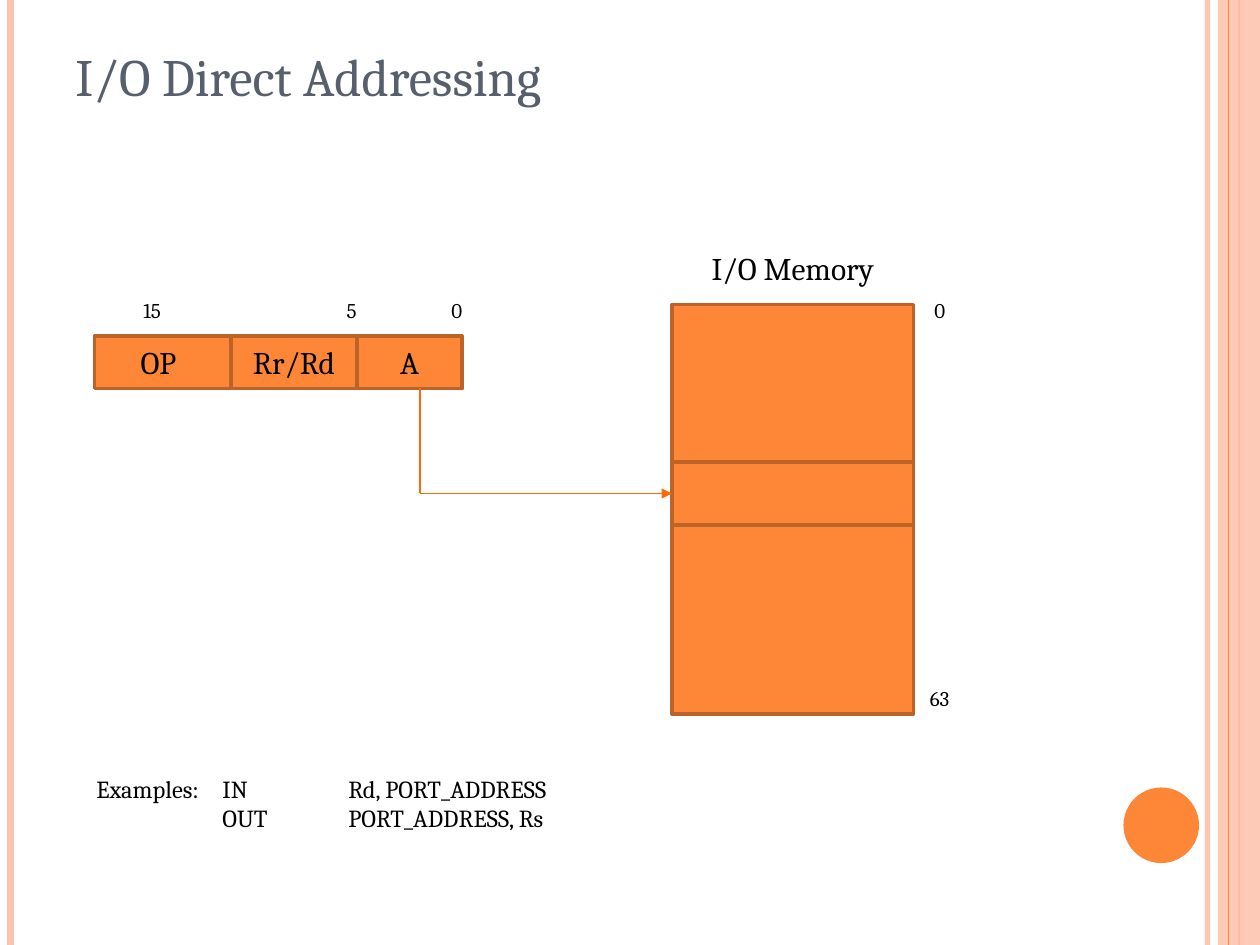
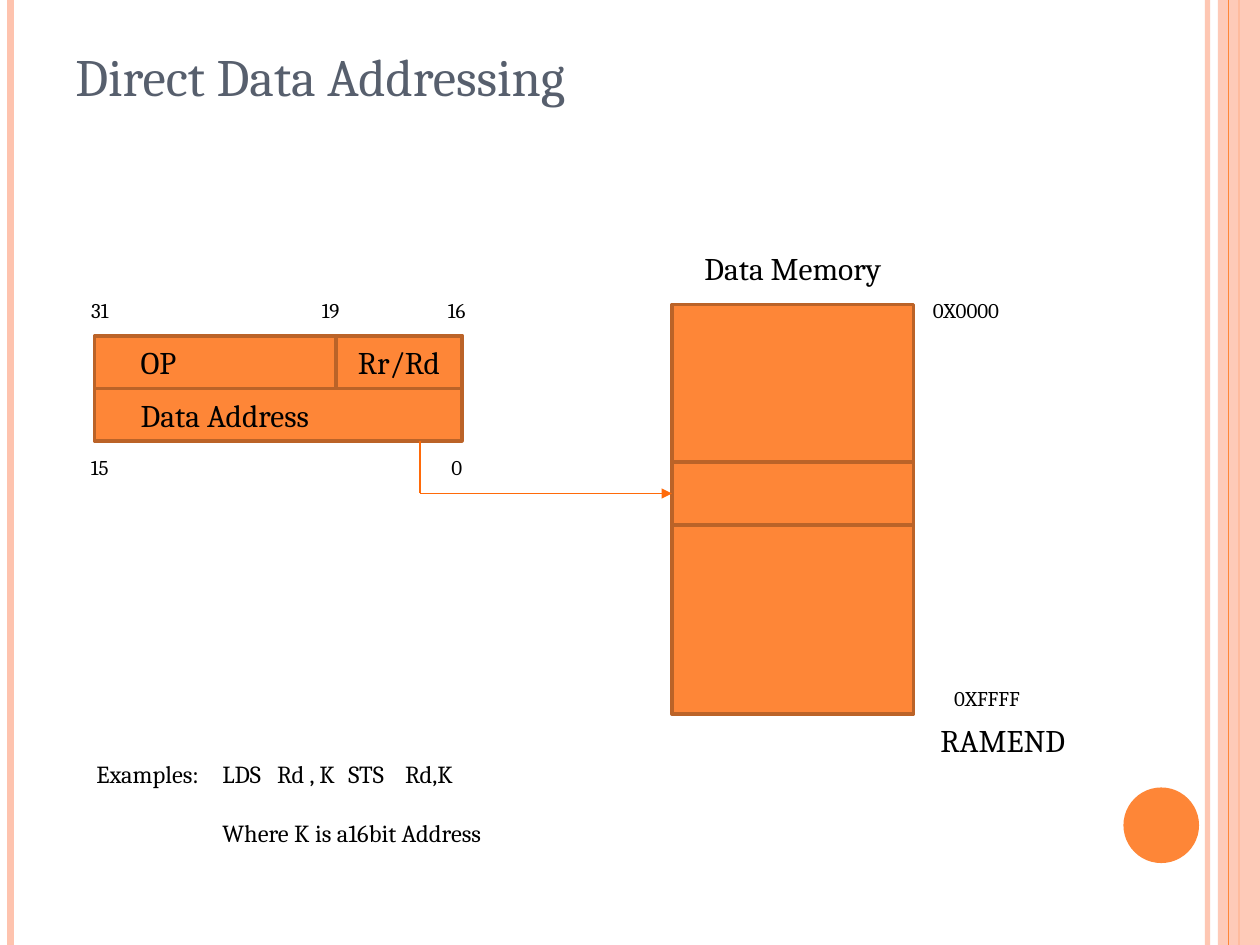
from lxml.etree import SubElement
from pptx import Presentation
from pptx.dml.color import RGBColor
from pptx.enum.shapes import MSO_CONNECTOR, MSO_SHAPE
from pptx.enum.text import MSO_ANCHOR, PP_ALIGN
from pptx.oxml.ns import qn
from pptx.util import Pt

EMU_PER_PX = 7620  # 120 px to the inch
WIDTH, HEIGHT = 1200, 900
FONT = "Cambria"
ORANGE, BORDER, PALE, ARROW = "FE8637", "BB6328", "FEC3AE", "FF6A09"
TITLE_COLOR, BLACK = "575F6D", "000000"

ROW = 50  # height of an instruction row and of every label
INSTRUCTION_LEFT, INSTRUCTION_TOP, INSTRUCTION_WIDTH = 90, 320, 350
MEMORY_LEFT, MEMORY_TOP, MEMORY_WIDTH, MEMORY_HEIGHT = 640, 290, 230, 390
CELL_TOP, CELL_HEIGHT = 440, 60
ARROW_LEFT = 400
ABOVE, BELOW = INSTRUCTION_TOP - ROW, INSTRUCTION_TOP + 2 * ROW

# rows: (text at left, [(field, left, width)]); labels: (text, left, top, width, size)
SLIDES = [
    {
        "title": "I/O Direct Addressing",
        "memory": "I/O Memory",
        "rows": [("OP", [("Rr/Rd", 220, 120), ("A", 340, 100)])],
        "labels": [
            ("0", 410, ABOVE, 50, 12),
            ("5", 310, ABOVE, 50, 12),
            ("15", 120, ABOVE, 50, 12),
            ("0", 870, ABOVE, 50, 12),
            ("63", 870, 640, 50, 12),
        ],
        "examples": ["Examples:\tIN\tRd, PORT_ADDRESS", "\tOUT\tPORT_ADDRESS, Rs"],
        "tabs": [120, 240],
        "gap": 0,
    },
    {
        "title": "Direct Data Addressing",
        "memory": "Data Memory",
        "rows": [("OP", [("Rr/Rd", 320, 120)]), ("Data Address", [])],
        "labels": [
            ("16", 410, ABOVE, 50, 12),
            ("19", 290, ABOVE, 50, 12),
            ("31", 70, ABOVE, 50, 12),
            ("0", 410, BELOW, 50, 12),
            ("15", 70, BELOW, 50, 12),
            ("0X0000", 870, ABOVE, 100, 12),
            ("0XFFFF", 870, 640, 140, 12),
            ("RAMEND", 840, 680, 230, 18),
        ],
        "examples": ["Examples:\tLDS\tRd , K\tSTS\tRd,K", "\tWhere K is a16bit Address"],
        "tabs": [120, 172, 240, 294],
        "gap": 16.5,
    },
]


def px(length):
    return round(length * EMU_PER_PX)


def color(hex_text):
    return RGBColor.from_string(hex_text)


def set_alpha(fill_parent, percent):
    color_element = fill_parent.find(qn("a:solidFill"))[0]
    SubElement(color_element, qn("a:alpha"), val=str(percent * 1000))


def write(shape, lines, size=18, ink=BLACK, align=PP_ALIGN.CENTER,
          anchor=MSO_ANCHOR.MIDDLE, inset=12, tabs=(), gap=0):
    frame = shape.text_frame
    frame.word_wrap = True
    frame.vertical_anchor = anchor
    frame.margin_left, frame.margin_right = px(inset), px(12)
    frame.margin_top = frame.margin_bottom = px(6)
    for index, line in enumerate(lines):
        paragraph = frame.add_paragraph() if index else frame.paragraphs[0]
        paragraph.text = line
        paragraph.alignment = align
        if index and gap:
            paragraph.space_before = Pt(gap)
        if tabs:
            tab_list = SubElement(paragraph._p.get_or_add_pPr(), qn("a:tabLst"))
            for tab in tabs:
                SubElement(tab_list, qn("a:tab"), pos=str(px(tab)), algn="l")
        for run in paragraph.runs:
            run.font.name, run.font.size = FONT, Pt(size)
            run.font.color.rgb = color(ink)


def add_text(slide, lines, left, top, width, height=ROW, **text_format):
    box = slide.shapes.add_textbox(px(left), px(top), px(width), px(height))
    write(box, lines, **text_format)


def add_block(slide, left, top, width, height, fill=ORANGE, border=BORDER,
              kind=MSO_SHAPE.RECTANGLE):
    shape = slide.shapes.add_shape(kind, px(left), px(top), px(width), px(height))
    shape.shadow.inherit = False
    shape.fill.solid()
    shape.fill.fore_color.rgb = color(fill)
    if border:
        shape.line.color.rgb = color(border)
        shape.line.width = Pt(2)
    else:
        shape.line.fill.background()
    return shape


def add_line(slide, start, end, ink, weight, arrow=False, alpha=None):
    line = slide.shapes.add_connector(
        MSO_CONNECTOR.STRAIGHT, *map(px, start), *map(px, end))
    line.line.color.rgb = color(ink)
    line.line.width = Pt(weight)
    properties = line._element.spPr
    outline = properties.find(qn("a:ln"))
    if alpha:
        set_alpha(outline, alpha)
    if arrow:
        SubElement(outline, qn("a:tailEnd"), type="triangle")
    SubElement(properties, qn("a:effectLst"))


def add_frame(slide, title):
    """Draw the side bands, the circle and the title."""
    def stripe(left, ink, weight, alpha=None):
        add_line(slide, (left, 0), (left, HEIGHT), ink, weight, alpha=alpha)

    stripe(1150, PALE, 3, alpha=93)
    stripe(10, PALE, 4.5)
    stripe(1180, ORANGE, 1.5)
    band = add_block(slide, 1160, 0, 40, HEIGHT, PALE, None)
    set_alpha(band._element.spPr, 87)
    stripe(1170, ORANGE, 0.75)
    add_block(slide, 1070, 750, 72, 72, border=None, kind=MSO_SHAPE.OVAL)
    add_text(slide, [title], 60, 36, 980, 150, size=30, ink=TITLE_COLOR,
             align=PP_ALIGN.LEFT, anchor=MSO_ANCHOR.TOP)


def add_memory(slide, name):
    add_text(slide, [name], MEMORY_LEFT, MEMORY_TOP - 60, MEMORY_WIDTH)
    for top, height in ((MEMORY_TOP, MEMORY_HEIGHT), (CELL_TOP, CELL_HEIGHT)):
        add_block(slide, MEMORY_LEFT, top, MEMORY_WIDTH, height)


def add_instruction(slide, rows):
    """Draw the instruction word and the arrow from it to the memory cell."""
    for index, (text, fields) in enumerate(rows):
        top = INSTRUCTION_TOP + index * ROW
        bar = add_block(slide, INSTRUCTION_LEFT, top, INSTRUCTION_WIDTH, ROW)
        write(bar, [text], align=PP_ALIGN.LEFT, inset=44)
        for field, left, width in fields:
            write(add_block(slide, left, top, width, ROW), [field])
    bottom = INSTRUCTION_TOP + len(rows) * ROW
    middle = CELL_TOP + CELL_HEIGHT // 2
    corner = (ARROW_LEFT, middle)
    add_line(slide, (ARROW_LEFT, bottom), corner, ARROW, 1)
    add_line(slide, corner, (MEMORY_LEFT, middle), ARROW, 1, arrow=True)


def main():
    presentation = Presentation()
    presentation.slide_width, presentation.slide_height = px(WIDTH), px(HEIGHT)
    for content in SLIDES:
        slide = presentation.slides.add_slide(presentation.slide_layouts[6])
        add_frame(slide, content["title"])
        add_memory(slide, content["memory"])
        add_instruction(slide, content["rows"])
        for text, left, top, width, size in content["labels"]:
            add_text(slide, [text], left, top, width, size=size)
        add_text(slide, content["examples"], 80, 700, 860, 130, size=14,
                 align=PP_ALIGN.LEFT, tabs=content["tabs"], gap=content["gap"])
    presentation.save("out.pptx")


if __name__ == "__main__":
    main()
